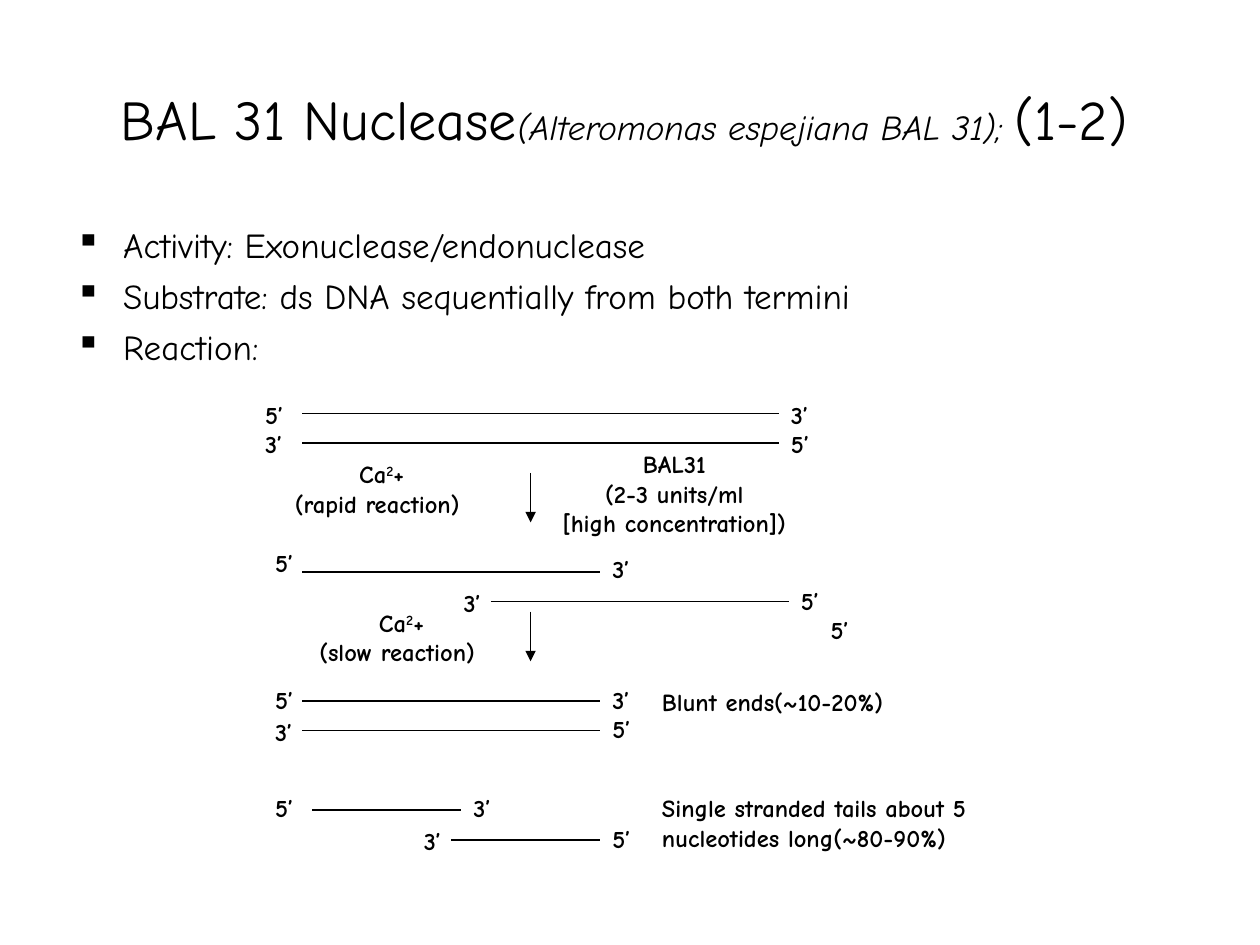
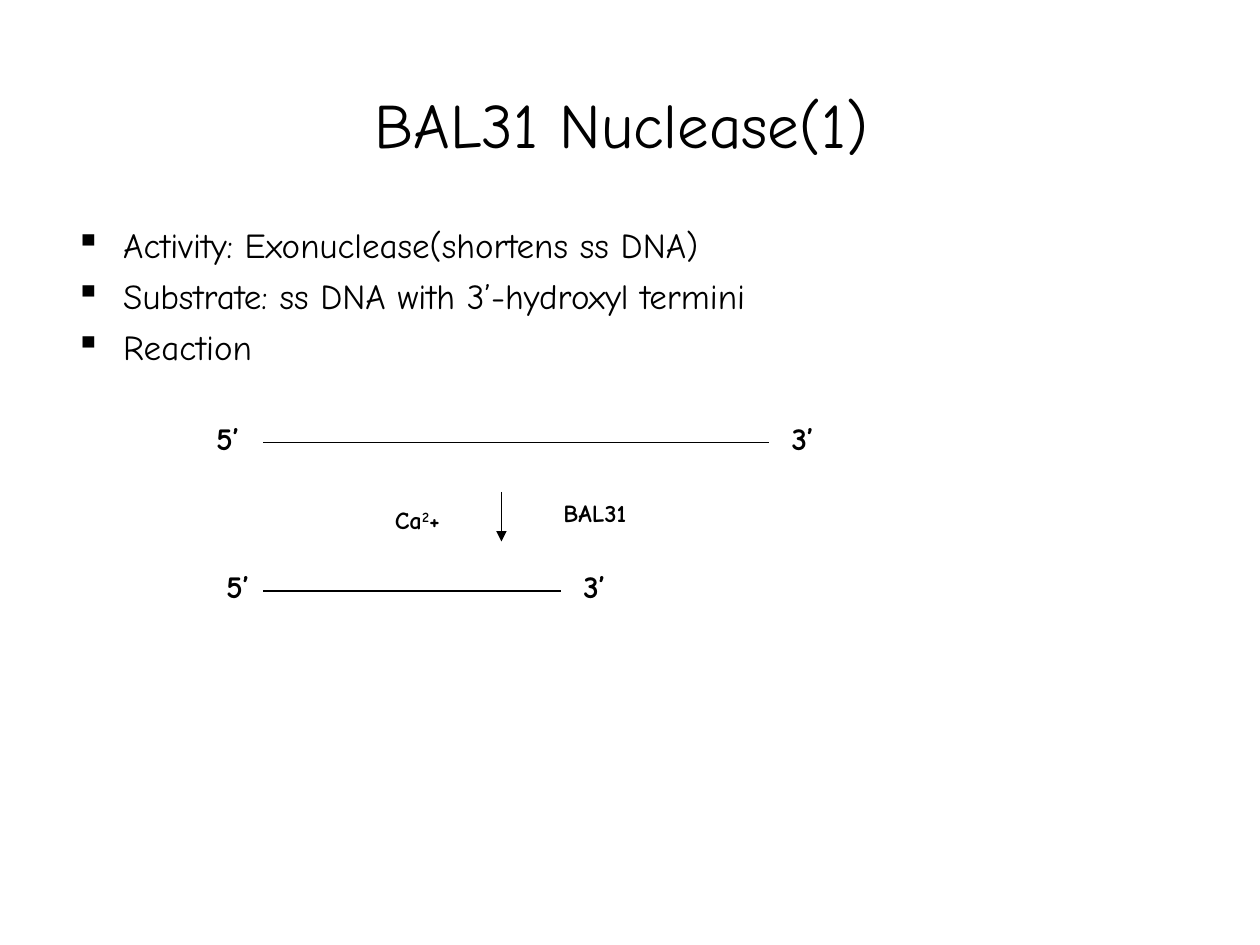
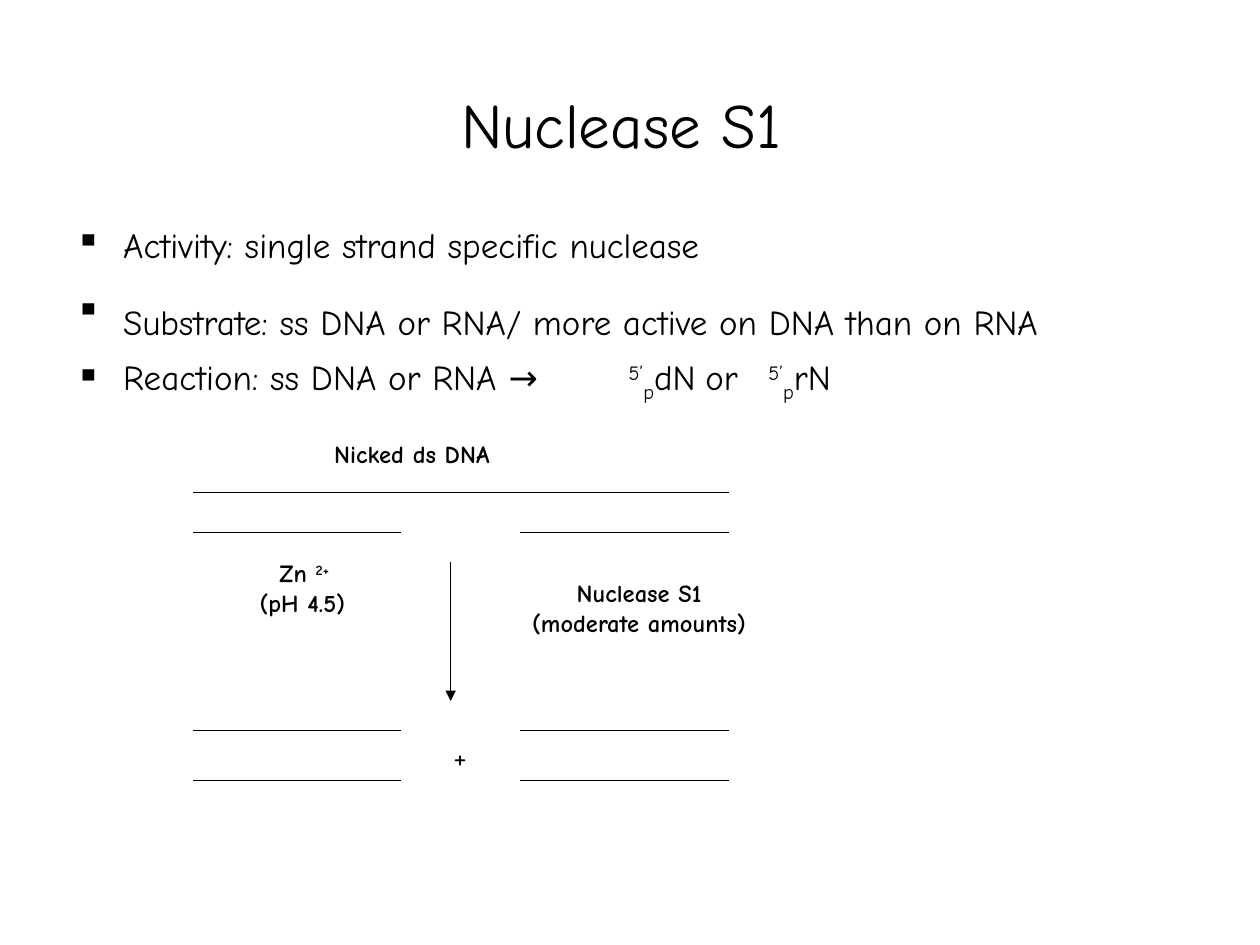
from pptx import Presentation
from pptx.dml.color import RGBColor
from pptx.enum.shapes import MSO_CONNECTOR
from pptx.enum.text import MSO_ANCHOR, PP_ALIGN
from pptx.oxml.ns import qn
from pptx.util import Inches, Mm, Pt
from lxml import etree

STRAIGHT = MSO_CONNECTOR.STRAIGHT
MIDDLE, TOP = MSO_ANCHOR.MIDDLE, MSO_ANCHOR.TOP
CENTER, LEFT = PP_ALIGN.CENTER, PP_ALIGN.LEFT

WIDTH, HEIGHT = Inches(10), Inches(7.5)
INK = "000000"
FONT, SPACE_FONT = "Comic Neue", "Noto Sans CJK KR"
GRID = Mm(2)
TITLE_BOX = (0.05, 0.04, 0.9, 0.17)
BODY_BOX = (0.05, 0.23, 0.9, 0.66)
INDENT = Inches(0.38)
SUPER, SUB = {"baseline": 30}, {"baseline": -25}
TITLE_END = (" ", {"size": 44, "font": SPACE_FONT})


def color(value):
    return RGBColor.from_string(value)


def share(box):
    return [round(part * whole) for part, whole in zip(box, (WIDTH, HEIGHT) * 2)]


def add_run(paragraph, text, size, bold=False, italic=False, font=FONT, baseline=0):
    for index, line in enumerate(text.split("\n")):
        if index:
            paragraph.add_line_break()
        if not line:
            continue
        run = paragraph.add_run()
        run.text = line
        run.font.name = font
        run.font.size = Pt(size)
        run.font.bold = bold
        run.font.italic = italic
        run.font.color.rgb = color(INK)
        if baseline:
            run.font._element.set("baseline", str(baseline * 1000))


def add_text(slide, box, paragraphs, align=LEFT, anchor=TOP, bullet=False,
             space_before=(), tabs=(), **style):
    frame = slide.shapes.add_textbox(*box).text_frame
    frame.word_wrap = True
    frame.vertical_anchor = anchor
    for index, content in enumerate(paragraphs):
        paragraph = frame.paragraphs[0] if index == 0 else frame.add_paragraph()
        paragraph.alignment = align
        if bullet:
            add_bullet(paragraph, tabs)
        if index and space_before:
            paragraph.space_before = Pt(space_before[index])
        for part in [content] if isinstance(content, str) else content:
            text, changes = (part, {}) if isinstance(part, str) else part
            add_run(paragraph, text, **{**style, **changes})


def add_bullet(paragraph, tabs):
    properties = paragraph._p.get_or_add_pPr()
    properties.set("marL", str(INDENT))
    properties.set("indent", str(-INDENT))
    etree.SubElement(properties, qn("a:buChar"), char="▪")
    if tabs:
        tab_list = etree.SubElement(properties, qn("a:tabLst"))
        for position in tabs:
            etree.SubElement(tab_list, qn("a:tab"), pos=str(Inches(position)), algn="l")


def add_heading(slide, title, bullets, size=36, space_before=(0, 5, 5), tabs=()):
    add_text(slide, share(TITLE_BOX), [title], size=size, align=CENTER, anchor=MIDDLE)
    add_text(slide, share(BODY_BOX), bullets, size=20, bullet=True,
             space_before=space_before, tabs=tabs)


def cell(origin, column, row):
    left, top = origin
    return Inches(left) + round(column * GRID), Inches(top) + round(row * GRID)


def add_line(slide, origin, column, row, columns=0, rows=0, arrow=False):
    connector = slide.shapes.add_connector(
        STRAIGHT, *cell(origin, column, row), *cell(origin, column + columns, row + rows))
    connector.line.color.rgb = color(INK)
    connector.line.width = Pt(0.75)
    properties = connector._element.spPr
    if arrow:
        etree.SubElement(properties.find(qn("a:ln")), qn("a:tailEnd"), type="triangle")
    etree.SubElement(properties, qn("a:effectLst"))


def add_label(slide, origin, column, row, columns, text, rows=4.4, size=14,
              bold=True, align=LEFT):
    box = (*cell(origin, column, row), round(columns * GRID), round(rows * GRID))
    add_text(slide, box, [text], size=size, bold=bold, align=align)


def add_strand(slide, origin, column, row, length, left_end, right_end, columns=7, size=14):
    add_line(slide, origin, column, row, columns=length)
    for start, (text, shift, rise) in ((column, left_end), (column + length, right_end)):
        add_label(slide, origin, start + shift, row - rise, columns, text, size=size)


def double_strand_digestion(slide, origin):
    strands = [
        (0, 0, 48, ("5’", -5, 2), ("3’", 0, 2)),
        (0, 3, 48, ("3’", -5, 2), ("5’", 0, 2)),
        (0, 16, 30, ("5’", -4, 3), ("3’", 0, 2.4)),
        (19, 19, 30, ("3’", -4, 2), ("5’", 0, 2.2)),
        (0, 29, 30, ("5’", -4, 2.2), ("3’", 0, 2.2)),
        (0, 32, 30, ("3’", -4, 2), ("5’", 0, 2.3)),
        (1, 40, 15, ("5’", -5, 2.3), ("3’", 0, 2.3)),
        (15, 43, 15, ("3’", -4, 2), ("5’", 0, 2.2)),
    ]
    for strand in strands:
        add_strand(slide, origin, *strand)
    for row in (6, 20):
        add_line(slide, origin, 23, row, rows=5, arrow=True)
    for column, row, speed in ((-3, 4, "rapid"), (-1, 19, "slow")):
        add_label(slide, origin, column, row, 22,
                  ["Ca", ("2", SUPER), f"+\n({speed} reaction) "], rows=7.2, align=CENTER)
    add_label(slide, origin, 21, 3, 33, "BAL31\n(2-3 units/ml\n[high concentration])",
              rows=10.2, align=CENTER)
    add_label(slide, origin, 52, 19.7, 7, "5’")
    add_label(slide, origin, 35, 27, 38, "Blunt ends(~10-20%)")
    add_label(slide, origin, 35, 37.7, 38,
              "Single stranded tails about 5 nucleotides long(~80-90%)", rows=7.2)


def single_strand_digestion(slide, origin):
    for row, length, shift in ((0, 51, -6), (15, 30, -5)):
        add_strand(slide, origin, 0, row, length, ("5’", shift, 3), ("3’", 1, 3),
                   columns=6, size=18)
    add_line(slide, origin, 24, 5, rows=5, arrow=True)
    add_label(slide, origin, 12, 5, 9, ["Ca", ("2", SUPER), "+", (" ", {"size": 18})], rows=5)
    add_label(slide, origin, 29, 5, 12, "BAL31")


def nicked_digestion(slide, origin):
    add_line(slide, origin, 0, 0, columns=54)
    for row in (4, 24, 29):
        for column in (0, 33):
            add_line(slide, origin, column, row, columns=21)
    add_line(slide, origin, 26, 7, rows=14, arrow=True)
    add_label(slide, origin, 13, -6, 24, "Nicked ds DNA")
    add_label(slide, origin, 5, 6, 13, ["Zn ", ("2+ \n", SUPER), "(pH 4.5) "],
              rows=7.2, align=CENTER)
    add_label(slide, origin, 30, 8, 30, "Nuclease S1\n(moderate amounts)",
              rows=7.2, align=CENTER)
    add_label(slide, origin, 25, 24, 6, "+", rows=5, size=18, bold=False)


def main():
    presentation = Presentation()
    presentation.slide_width, presentation.slide_height = WIDTH, HEIGHT
    overview, exonuclease, nuclease_s1 = [
        presentation.slides.add_slide(presentation.slide_layouts[6]) for _ in range(3)]

    small_italic = {"size": 20, "italic": True}
    add_heading(
        overview,
        ["BAL 31 Nuclease", ("(Alteromonas espejiana BAL 31); ", small_italic),
         "(1-2)", (" ", small_italic)],
        ["Activity: Exonuclease/endonuclease",
         "Substrate: ds DNA sequentially from both termini",
         "Reaction:"],
        size=32)
    double_strand_digestion(overview, (2.4, 3.28))

    add_heading(
        exonuclease,
        ["BAL31 Nuclease(1)", TITLE_END],
        ["Activity: Exonuclease(shortens ss DNA)",
         "Substrate: ss DNA with 3’-hydroxyl termini",
         "Reaction"])
    single_strand_digestion(exonuclease, (2.09, 3.51))

    add_heading(
        nuclease_s1,
        ["Nuclease S1", TITLE_END],
        ["Activity: single strand specific nuclease",
         ["Substrate: ss DNA or RNA/ more active on DNA than on RNA", (" ", {"size": 32})],
         ["Reaction: ss DNA or RNA →\t", ("5’", SUPER), ("p", SUB), "dN\tor\t",
          ("5’", SUPER), ("p", SUB), "rN"]],
        space_before=(0, 8, 5), tabs=(3.66, 4.39, 4.82))
    nicked_digestion(nuclease_s1, (1.53, 3.91))

    presentation.save("out.pptx")


if __name__ == "__main__":
    main()
